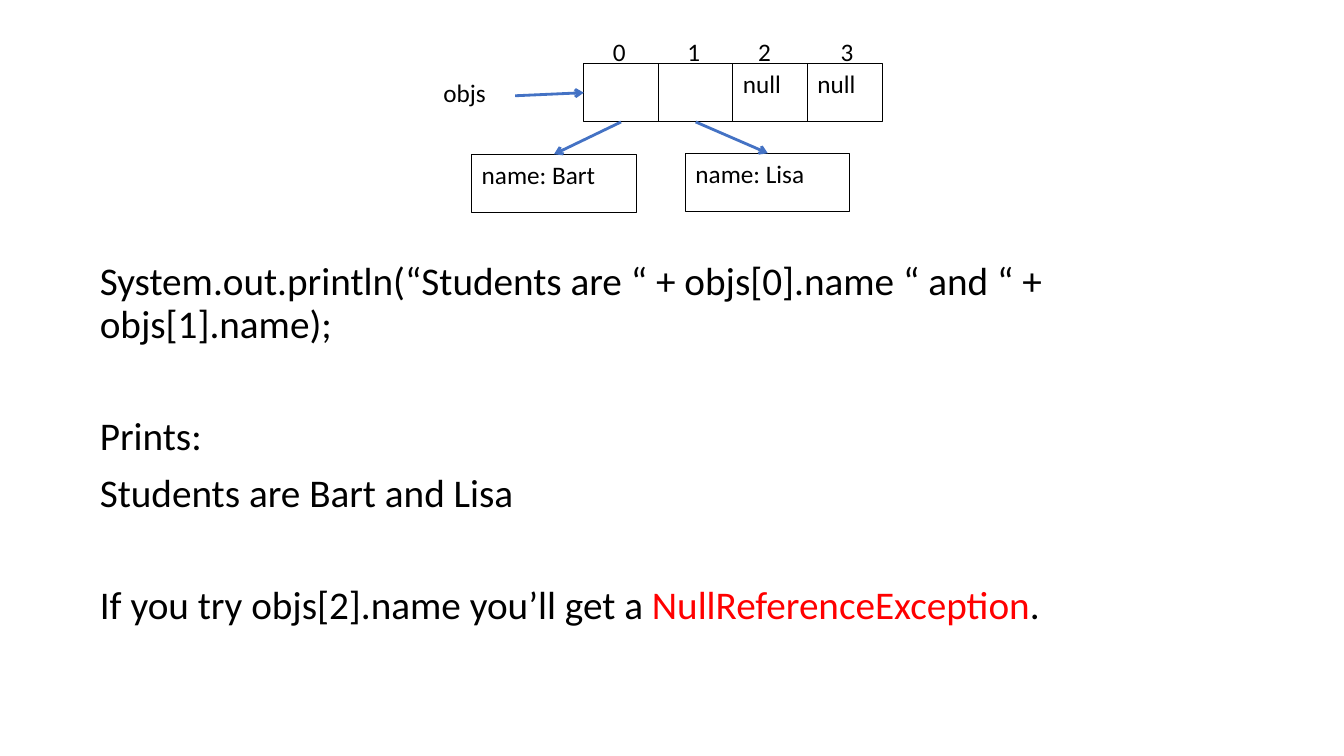
"""Build a slide showing an array of object references and what printing them gives."""
from dataclasses import dataclass

from lxml import etree
from pptx import Presentation
from pptx.dml.color import RGBColor
from pptx.enum.shapes import MSO_CONNECTOR, MSO_SHAPE
from pptx.enum.text import MSO_ANCHOR, MSO_AUTO_SIZE, PP_ALIGN
from pptx.oxml.ns import qn
from pptx.util import Inches, Pt

RECT = MSO_SHAPE.RECTANGLE
STRAIGHT = MSO_CONNECTOR.STRAIGHT
TOP = MSO_ANCHOR.TOP
LEFT = PP_ALIGN.LEFT
NO_AUTOFIT = MSO_AUTO_SIZE.NONE
SITE_TOP, SITE_LEFT, SITE_BOTTOM = 0, 1, 2


@dataclass(frozen=True)
class Theme:
    font: str = "Calibri"
    label_size: int = 18
    body_size: int = 28
    ink: RGBColor = RGBColor(0x00, 0x00, 0x00)
    accent: RGBColor = RGBColor(0x44, 0x72, 0xC4)
    alert: RGBColor = RGBColor(0xFF, 0x00, 0x00)
    border: float = 0.75
    arrow: float = 2
    line_spacing: float = 0.9
    gap: int = 10
    section_gap: int = 50


class Deck:
    def __init__(self, theme):
        self.theme = theme
        self.prs = Presentation()
        self.prs.slide_width = Inches(13.33)
        self.prs.slide_height = Inches(7.5)
        self.s = self.prs.slides.add_slide(self.prs.slide_layouts[1])
        title = self.s.shapes.title.element
        title.getparent().remove(title)

    def style(self, r, size, color):
        r.font.name = self.theme.font
        r.font.size = Pt(size)
        r.font.color.rgb = color

    def set_text(self, sp, text):
        tf = sp.text_frame
        tf.word_wrap = True
        tf.vertical_anchor = TOP
        tf.text = text
        p = tf.paragraphs[0]
        p.alignment = LEFT
        for r in p.runs:
            self.style(r, self.theme.label_size, self.theme.ink)

    def box(self, x, y, w, h, text):
        sp = self.s.shapes.add_shape(RECT, Inches(x), Inches(y), Inches(w), Inches(h))
        sp.shadow.inherit = False
        sp.fill.background()
        sp.line.color.rgb = self.theme.ink
        sp.line.width = Pt(self.theme.border)
        if text:
            self.set_text(sp, text)
        return sp

    def label(self, x, y, w, text):
        sp = self.s.shapes.add_textbox(Inches(x), Inches(y), Inches(w), Inches(0.4))
        self.set_text(sp, text)

    def arrow(self, end, end_site, start=None, start_at=(0, 0)):
        x, y = map(Inches, start_at)
        cxn = self.s.shapes.add_connector(STRAIGHT, x, y, x, y)
        if start is not None:
            cxn.begin_connect(start, SITE_BOTTOM)
        cxn.end_connect(end, end_site)
        cxn.line.color.rgb = self.theme.accent
        cxn.line.width = Pt(self.theme.arrow)
        spPr = cxn.element.spPr
        etree.SubElement(spPr.find(qn("a:ln")), qn("a:tailEnd"), type="arrow")
        etree.SubElement(spPr, qn("a:effectLst"))

    def body(self, x, y, w, h, paragraphs):
        sp = self.s.placeholders[1]
        sp.left, sp.top, sp.width, sp.height = map(Inches, (x, y, w, h))
        tf = sp.text_frame
        tf.auto_size = NO_AUTOFIT
        tf.vertical_anchor = TOP
        for i, (gap, runs) in enumerate(paragraphs):
            p = tf.add_paragraph() if i else tf.paragraphs[0]
            p.line_spacing = self.theme.line_spacing
            p.space_before = Pt(gap)
            pPr = p._p.get_or_add_pPr()
            pPr.set("marL", "0")
            pPr.set("indent", "0")
            etree.SubElement(pPr, qn("a:buNone"))
            for text, color in runs:
                r = p.add_run()
                r.text = text
                self.style(r, self.theme.body_size, color)


def main():
    theme = Theme()
    deck = Deck(theme)
    ink, gap, section = theme.ink, theme.gap, theme.section_gap

    cell_w, cell_h = 0.74, 0.58
    cells = [deck.box(5.79 + i * cell_w, 0.63, cell_w, cell_h, text)
             for i, text in enumerate(("", "", "null", "null"))]
    for i, x in enumerate((5.98, 6.72, 7.42, 8.24)):
        deck.label(x, 0.31, 0.36, str(i))

    deck.label(4.3, 0.72, 0.84, "objs")
    deck.arrow(cells[0], SITE_LEFT, start_at=(5.11, 0.95))

    students = ((4.68, 1.53, "name: Bart"), (6.8, 1.52, "name: Lisa"))
    for cell, (x, y, name) in zip(cells, students):
        student = deck.box(x, y, 1.63, cell_h, name)
        deck.arrow(student, SITE_TOP, start=cell)

    deck.body(0.89, 2.55, 11.29, 4.62, [
        (gap, [("System.out.println(“Students are “ + objs[0].name “ and “ + objs[1].name);", ink)]),
        (section, [("Prints:", ink)]),
        (gap, [("Students are Bart and Lisa", ink)]),
        (section, [("If you try objs[2].name you’ll get a ", ink),
                   ("NullReferenceException", theme.alert),
                   (".", ink)]),
    ])
    deck.prs.save("out.pptx")


if __name__ == "__main__":
    main()
